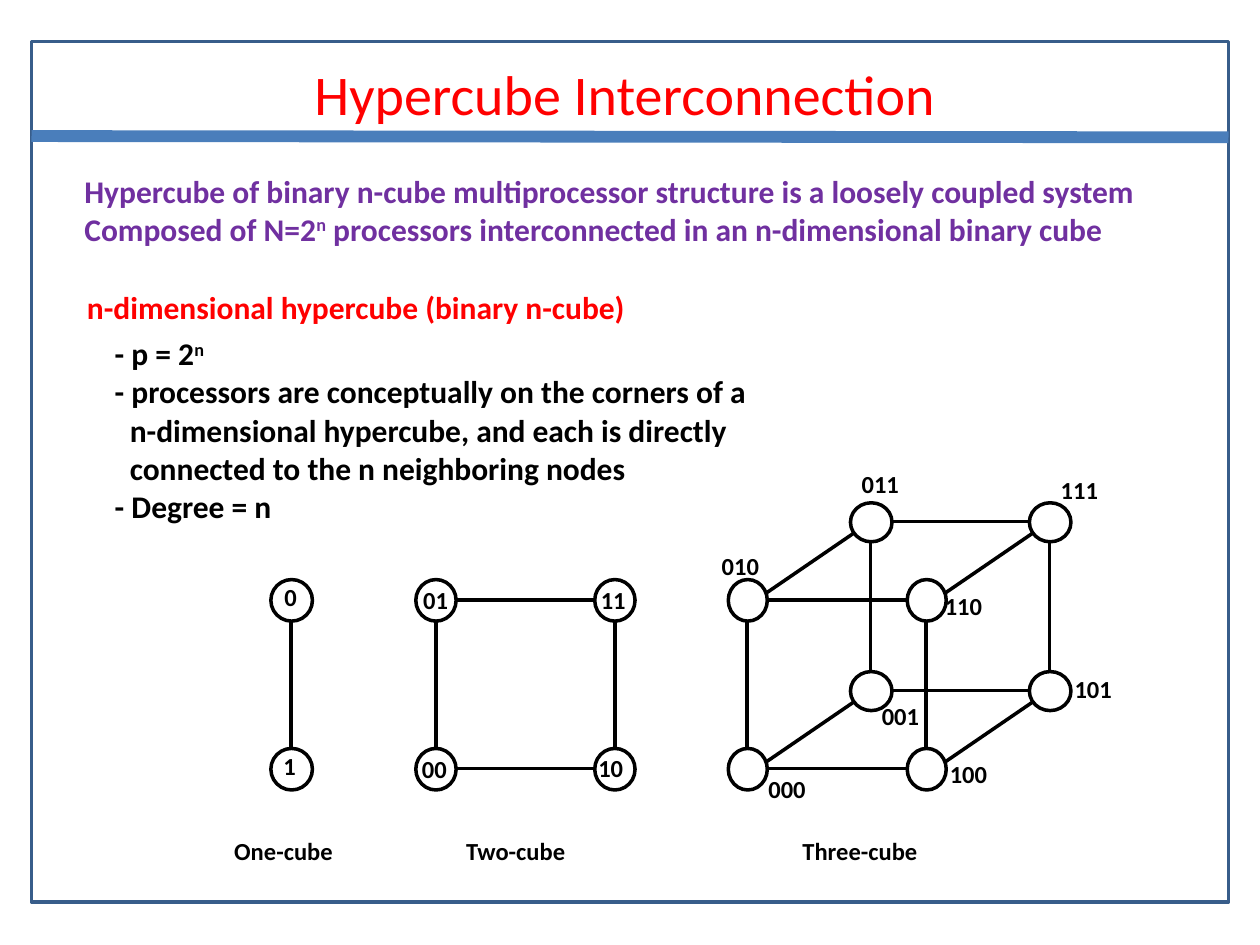
from itertools import combinations, product

from lxml import etree
from pptx import Presentation
from pptx import util as u
from pptx.dml.color import RGBColor
from pptx.enum import shapes, text
from pptx.oxml import ns

PX = 9144
COLORS = {"frame": "385D8A", "bar": "4A7EBB", "red": "FF0000",
          "purple": "7030A0", "black": "000000", "white": "FFFFFF"}
WIDE_INSETS = {"margin_left": 10, "margin_right": 10, "margin_top": 5, "margin_bottom": 5}
TIGHT_INSETS = {"margin_left": 7, "margin_right": 7, "margin_top": 3, "margin_bottom": 3}
INTRO = ["Hypercube of binary n-cube multiprocessor structure is a loosely coupled system",
         "Composed of N=2^n^ processors interconnected in an n-dimensional binary cube"]
PROPERTIES = ["- p = 2^n",
              "- processors are conceptually on the corners of a n-dimensional hypercube, "
              "and each is directly connected to the n neighboring nodes",
              "- Degree = n"]


def px(*lengths):
    """Turn pixel lengths into EMU."""
    return [u.Emu(length * PX) for length in lengths]


def rgb(name):
    """Look up a colour by name."""
    return RGBColor.from_string(COLORS[name])


def place(shape, box):
    """Move a placeholder to a box."""
    for side, length in zip(("left", "top", "width", "height"), px(*box)):
        setattr(shape, side, length)


def write(frame, lines, insets, size, color, bold=True, wrap=True, spacing=1.01,
          align=text.PP_ALIGN.LEFT, anchor=text.MSO_ANCHOR.TOP, hang=0):
    """Fill a text frame; carets enclose superscripts."""
    frame_format = {"word_wrap": wrap, "auto_size": text.MSO_AUTO_SIZE.NONE,
                    "vertical_anchor": anchor}
    frame_format.update({side: u.Emu(inset * PX) for side, inset in insets.items()})
    for key, value in frame_format.items():
        setattr(frame, key, value)
    for index, line in enumerate(lines):
        paragraph = frame.paragraphs[0] if index == 0 else frame.add_paragraph()
        properties = paragraph._p.get_or_add_pPr()
        properties.set("marL", str(hang * PX))
        properties.set("indent", str(-hang * PX))
        etree.SubElement(properties, ns.qn("a:buNone"))
        for key, value in {"alignment": align, "line_spacing": spacing,
                           "space_before": u.Pt(0), "space_after": u.Pt(0)}.items():
            setattr(paragraph, key, value)
        for part, words in enumerate(line.split("^")):
            if not words:
                continue
            run = paragraph.add_run()
            run.text = words
            for key, value in {"name": "Calibri", "size": u.Pt(size), "bold": bold}.items():
                setattr(run.font, key, value)
            run.font.color.rgb = rgb(color)
            if part % 2:
                run._r.get_or_add_rPr().set("baseline", "30000")


def text_box(slide, box, lines, insets, **style):
    """Add a text box."""
    frame = slide.shapes.add_textbox(*px(*box)).text_frame
    write(frame, lines, insets, **style)


def line(slide, start, end, color="black", width=2):
    """Draw a straight line without a shadow."""
    connector = slide.shapes.add_connector(shapes.MSO_CONNECTOR.STRAIGHT, *px(*start, *end))
    connector.line.color.rgb = rgb(color)
    connector.line.width = u.Pt(width)
    etree.SubElement(connector._element.spPr, ns.qn("a:effectLst"))


def outline(slide, kind, box, color):
    """Add an outlined shape and return it."""
    shape = slide.shapes.add_shape(kind, *px(*box))
    shape.shadow.inherit = False
    shape.line.color.rgb = rgb(color)
    shape.line.width = u.Pt(2)
    return shape


def header(slide, box):
    """Draw the slide frame, the title and the bar under it."""
    left, top, width, height = box
    outline(slide, shapes.MSO_SHAPE.RECTANGLE, box, "frame").fill.background()
    line(slide, (left, top + 75), (left + width, top + 76), "bar", 6.75)
    title = slide.shapes.title
    place(title, (left + 50, top + 9, 842, 64))
    write(title.text_frame, ["Hypercube Interconnection"], WIDE_INSETS, size=32, color="red",
          bold=False, spacing=1, align=text.PP_ALIGN.CENTER, anchor=text.MSO_ANCHOR.MIDDLE)


def definition(slide, box):
    """Write the introduction, the heading and the list of properties."""
    left, top, width, height = box
    text_box(slide, (left, top, width, 66), INTRO, TIGHT_INSETS, size=18, color="purple")
    text_box(slide, (left + 2, top + 92, 442, 36), ["n-dimensional hypercube (binary n-cube)"],
             TIGHT_INSETS, size=18, color="red")
    properties = slide.placeholders[1]
    place(properties, (left + 24, top + 129, 522, height - 129))
    write(properties.text_frame, PROPERTIES, TIGHT_INSETS, size=18, color="black", hang=12)


def face(slide, box, node_width, node_height):
    """Draw nodes centred on the corners of a box and the edges between them."""
    left, top, width, height = box
    corners = sorted(set(product((left, left + width), (top, top + height))))
    for x, y in corners:
        node = outline(slide, shapes.MSO_SHAPE.OVAL,
                       (x - node_width // 2, y - node_height // 2, node_width, node_height),
                       "black")
        node.fill.solid()
        node.fill.fore_color.rgb = rgb("white")
    for (x1, y1), (x2, y2) in combinations(corners, 2):
        if x1 == x2:
            line(slide, (x1, y1 + 16), (x2, y2 - 16))
        elif y1 == y2:
            line(slide, (x1 + 16, y1), (x2 - 16, y2))


def labels(slide, box, offsets, caption, caption_offset, caption_width):
    """Label the nodes of a cube and caption it."""
    left, top, width, height = box
    widths = {name: 20 + 10 * len(name) for name in offsets}
    widths[caption] = caption_width
    for name, (dx, dy) in {**offsets, caption: (caption_offset, height + 51)}.items():
        text_box(slide, (left + dx, top + dy, widths[name], 31), [name], WIDE_INSETS,
                 size=14, color="black", wrap=False, spacing=0.9)


def one_cube(slide, box):
    """Draw the one-dimensional cube."""
    face(slide, box, 33, 33)
    labels(slide, box, {"0": (-15, -16), "1": (-16, 118)}, "One-cube", -55, 98)


def two_cube(slide, box):
    """Draw the two-dimensional cube."""
    face(slide, box, 32, 33)
    labels(slide, box, {"01": (-20, -14), "11": (121, -14), "00": (-21, 120),
                        "10": (119, 119)}, "Two-cube", 14, 99)


def three_cube(slide, box):
    """Draw the three-dimensional cube with its back face up and to the right."""
    left, top, width, height = box
    shift_x, shift_y = 98, -62
    for x, y in product((left, left + width), (top, top + height)):
        line(slide, (x + 3, y + 3), (x + shift_x, y + shift_y))
    face(slide, box, 31, 33)
    face(slide, (left + shift_x, top + shift_y, width, height), 33, 31)
    labels(slide, box, {"010": (-30, -41), "110": (147, -9), "011": (81, -106),
                        "111": (239, -101), "101": (250, 57), "100": (151, 124),
                        "001": (97, 78), "000": (7, 136)}, "Three-cube", 34, 111)


def main():
    """Build and save the slide."""
    deck = Presentation()
    deck.slide_width, deck.slide_height = px(1000, 750)
    slide = deck.slides.add_slide(deck.slide_layouts[1])
    header(slide, (25, 33, 950, 683))
    definition(slide, (60, 133, 856, 316))
    one_cube(slide, (231, 476, 0, 134))
    two_cube(slide, (346, 476, 142, 134))
    three_cube(slide, (593, 476, 142, 134))
    deck.save("out.pptx")


if __name__ == "__main__":
    main()
